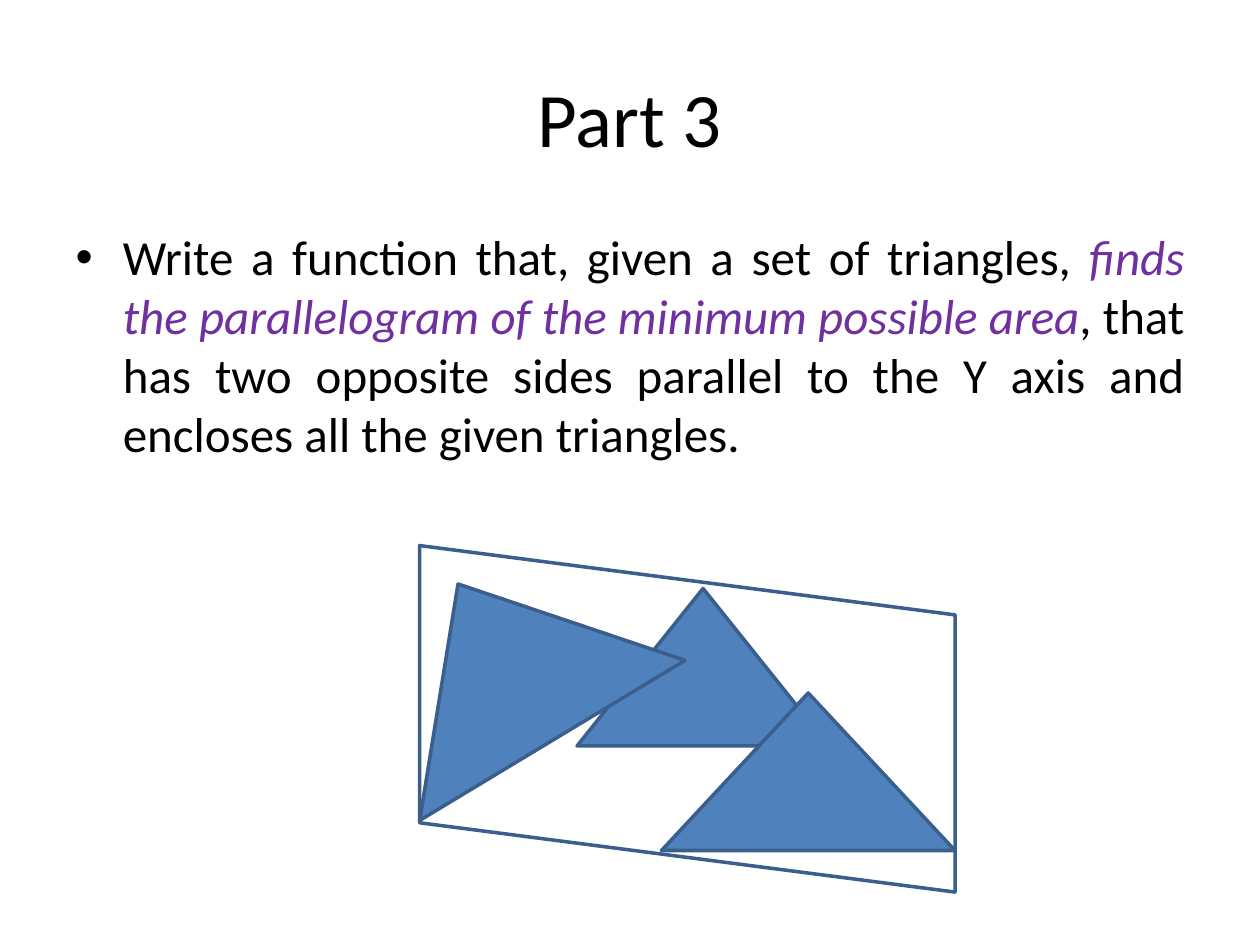
from pptx import Presentation
from pptx import util as u
from pptx.dml import color
from pptx.enum import shapes, text

theme = {
    "font": "Calibri",
    "ink": color.RGBColor.from_string("000000"),
    "mark": color.RGBColor.from_string("7030A0"),
    "fill": color.RGBColor.from_string("4F81BD"),
    "line": color.RGBColor.from_string("3A5F8C"),
    "title": u.Pt(44),
    "body": u.Pt(28),
    "edge": u.Pt(2),
}


def place(item, box):
    for name, size in zip(("left", "top", "width", "height"), box):
        setattr(item, name, u.Inches(size))


def write(para, words, tone, **form):
    run = para.add_run()
    run.text = words
    run.font.color.rgb = theme[tone]
    for name, value in {"name": theme["font"], **form}.items():
        setattr(run.font, name, value)


deck = Presentation()
deck.slide_width, deck.slide_height = u.Inches(10), u.Inches(7.5)
slide = deck.slides.add_slide(deck.slide_layouts[1])

title, body = slide.placeholders
place(title, (0.5, 0.3, 9, 1.25))
title.text_frame.vertical_anchor = text.MSO_ANCHOR.MIDDLE
head = title.text_frame.paragraphs[0]
head.alignment = text.PP_ALIGN.CENTER
write(head, "Part 3", "ink", size=theme["title"])

place(body, (0.5, 1.75, 9, 4.95))
body.text_frame.auto_size = text.MSO_AUTO_SIZE.NONE
task = body.text_frame.paragraphs[0]
task.alignment = text.PP_ALIGN.JUSTIFY
task.space_before = u.Pt(0)
parts = [
    ("Write a function that, given a set of triangles, ", "ink", False),
    ("finds the parallelogram of the minimum possible area", "mark", True),
    (", that has two opposite sides parallel to the Y axis and encloses all the given triangles.", "ink", False),
]
for words, tone, slant in parts:
    write(task, words, tone, size=theme["body"], italic=slant)

kinds = shapes.MSO_SHAPE
figures = [
    (kinds.FLOWCHART_DATA, (4.08, 3.58, 2.75, 4.25), 90),
    (kinds.ISOSCELES_TRIANGLE, (4.58, 4.67, 2, 1.25), 0),
    (kinds.ISOSCELES_TRIANGLE, (2.78, 4.53, 2.46, 1.45), 328.9),
    (kinds.ISOSCELES_TRIANGLE, (5.25, 5.5, 2.33, 1.25), 0),
]
for kind, box, turn in figures:
    figure = slide.shapes.add_shape(kind, *map(u.Inches, box))
    figure.rotation = turn
    figure.shadow.inherit = False
    if kind == kinds.FLOWCHART_DATA:
        figure.fill.background()
    else:
        figure.fill.solid()
        figure.fill.fore_color.rgb = theme["fill"]
    figure.line.color.rgb = theme["line"]
    figure.line.width = theme["edge"]

deck.save("out.pptx")
